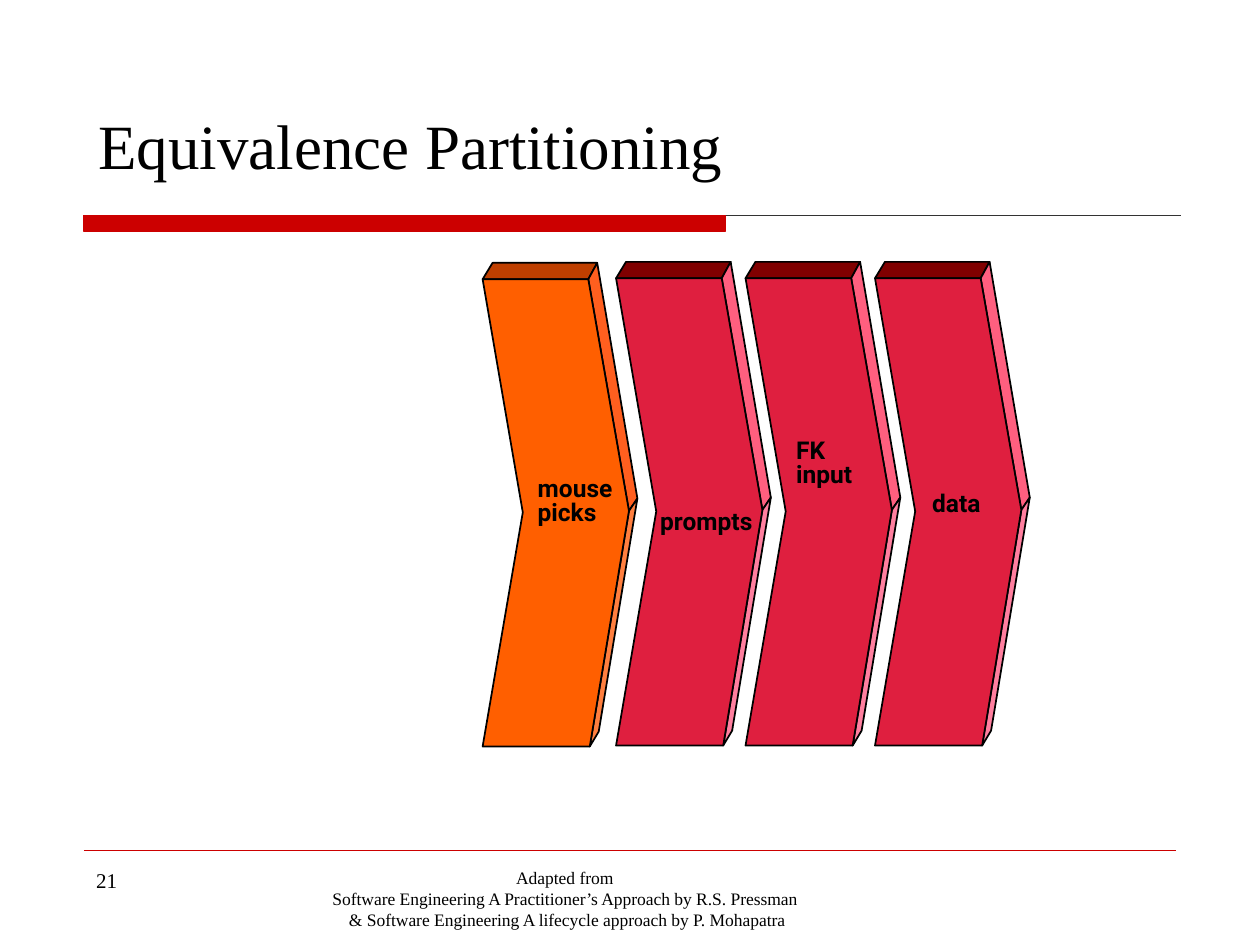
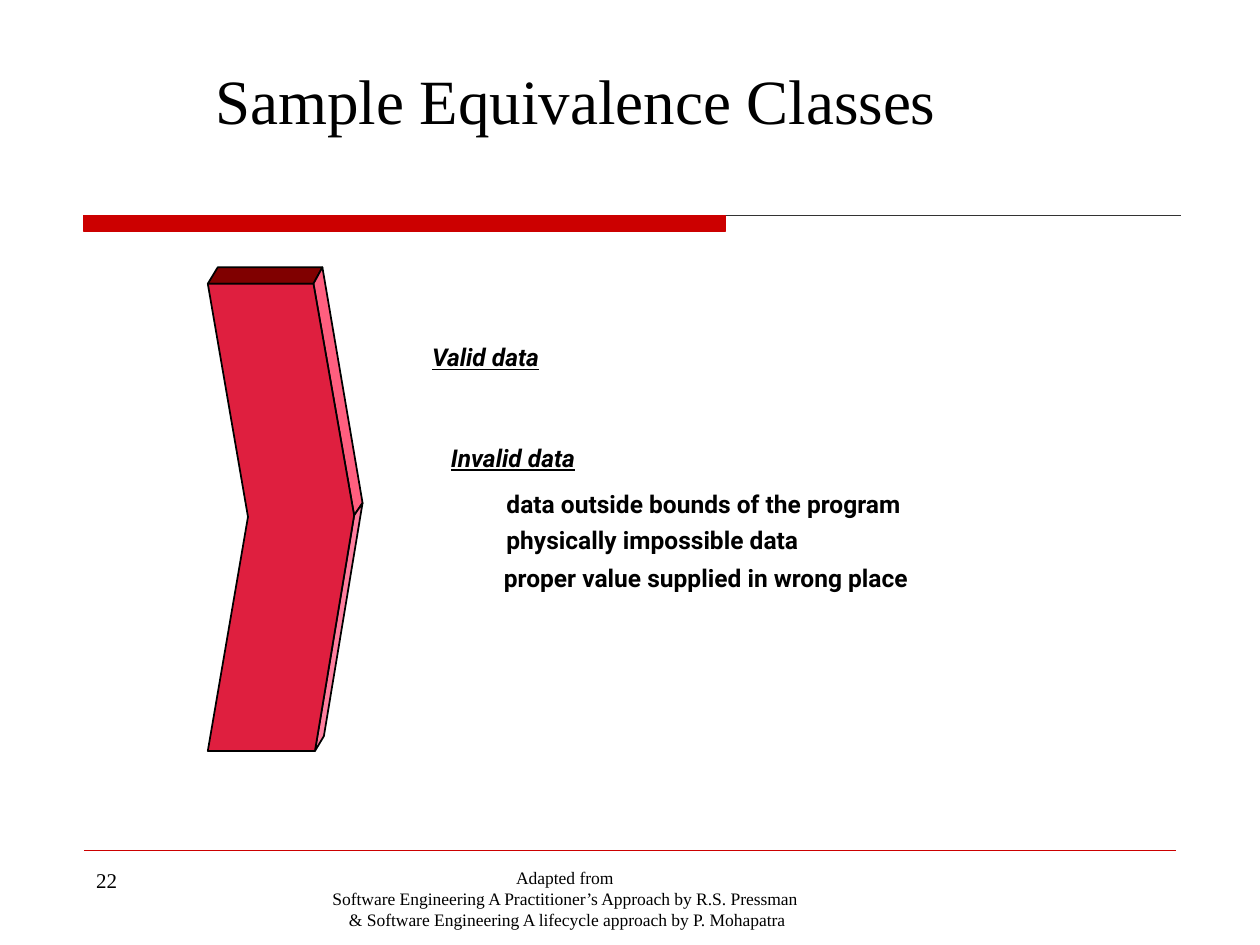
from lxml.etree import SubElement
from pptx import Presentation
from pptx.dml.color import RGBColor
from pptx.enum.shapes import MSO_CONNECTOR as Connector, MSO_SHAPE as Shape
from pptx.enum.text import MSO_ANCHOR as Anchor, MSO_AUTO_SIZE as AutoSize, PP_ALIGN as Align
from pptx.oxml.ns import qn
from pptx.util import Cm, Pt

BLACK = RGBColor(0x00, 0x00, 0x00)
RED = RGBColor(0xCC, 0x00, 0x00)
DARK_GREY = RGBColor(0x33, 0x33, 0x33)
SERIF, SANS = "Times New Roman", "Roboto"

# Colours of a chevron's faces
ORANGE_FACES = {
    "top": RGBColor(0xBF, 0x3F, 0x00),
    "upper side": RGBColor(0xFF, 0x5F, 0x1F),
    "lower side": RGBColor(0xFF, 0x7F, 0x3F),
    "front": RGBColor(0xFF, 0x5F, 0x00),
}
CRIMSON_FACES = {
    "top": RGBColor(0x80, 0x00, 0x00),
    "upper side": RGBColor(0xFF, 0x5F, 0x7F),
    "lower side": RGBColor(0xFF, 0x7F, 0x9F),
    "front": RGBColor(0xDF, 0x1F, 0x3F),
}

# Corners of a chevron, in cm from its top left
FRONT_TOP_LEFT, FRONT_TOP_RIGHT = (0, 0.33), (2.13, 0.33)
BACK_TOP_LEFT, BACK_TOP_RIGHT = (0.2, 0), (2.31, 0)
NOTCH, FRONT_TIP, BACK_TIP = (0.81, 5.03), (2.95, 5), (3.12, 4.75)
FRONT_LOW_LEFT, FRONT_LOW_RIGHT, BACK_LOW_RIGHT = (0, 9.75), (2.16, 9.75), (2.34, 9.45)
FACES = {
    "top": (FRONT_TOP_RIGHT, FRONT_TOP_LEFT, BACK_TOP_LEFT, BACK_TOP_RIGHT),
    "upper side": (BACK_TOP_RIGHT, FRONT_TOP_RIGHT, FRONT_TIP, BACK_TIP),
    "lower side": (BACK_TIP, FRONT_TIP, FRONT_LOW_RIGHT, BACK_LOW_RIGHT),
    "front": (FRONT_TOP_RIGHT, FRONT_TOP_LEFT, NOTCH,
              FRONT_LOW_LEFT, FRONT_LOW_RIGHT, FRONT_TIP),
}

FIRST_PAGE = 21
FOOTER = [
    "Adapted from ",
    "Software Engineering A Practitioner’s Approach by R.S. Pressman ",
    "& Software Engineering A lifecycle approach by P. Mohapatra",
]

CRIMSON_LEFT, CRIMSON_PITCH = 12.42, 2.61
LABEL = {"spacing": 0.8}
HEADING = {"italic": True, "underline": True}

# Areas are left, top, width, height in cm
PAGES = [
    {
        "title": "Equivalence Partitioning",
        "title area": (1.73, 2.06, 20.5, 1.7),
        "chevrons": [(9.73, 5.3, ORANGE_FACES)] + [
            (CRIMSON_LEFT + index * CRIMSON_PITCH, 5.28, CRIMSON_FACES)
            for index in range(3)],
        "texts": [
            (["mouse", "picks"], (10.59, 9.53, 2.08, 1.19), LABEL),
            (["prompts"], (13.06, 10.19, 2.46, 0.81), LABEL),
            (["FK", "input"], (15.8, 8.76, 1.7, 1.35), LABEL),
            (["data"], (18.54, 9.83, 1.52, 0.81), LABEL),
        ],
    },
    {
        "title": "Sample Equivalence Classes",
        "title area": (4.09, 1.55, 17.25, 0.89),
        "chevrons": [(4.19, 5.39, CRIMSON_FACES)],
        "texts": [
            (["Valid data"], (8.46, 6.78, 3.51, 1.02), HEADING),
            (["Invalid data"], (8.84, 8.81, 3.99, 1.02), HEADING),
            (["data outside bounds of the program"], (9.96, 9.73, 11.56, 1.02), {}),
            (["physically impossible data"], (9.96, 10.46, 8.53, 1.78), {}),
            (["proper value supplied in wrong place"], (9.91, 11.23, 11.71, 1.02), {}),
        ],
    },
]


def write_text(frame, lines, size, font, bold=False, italic=False, underline=False,
               align=Align.LEFT, spacing=None):
    """Fill a text frame with one paragraph for each line."""
    for index, line in enumerate(lines):
        para = frame.add_paragraph() if index else frame.paragraphs[0]
        para.alignment = align
        if spacing:
            para.line_spacing = spacing
        span = para.add_run()
        span.text = line
        span.font.size, span.font.name = Pt(size), font
        span.font.bold, span.font.italic, span.font.underline = bold, italic, underline
        span.font.color.rgb = BLACK


def add_text(page, lines, area, size=14, font=SANS, wrap=False, **style):
    frame = page.shapes.add_textbox(*map(Cm, area)).text_frame
    frame.word_wrap = wrap
    frame.auto_size = AutoSize.NONE if wrap else AutoSize.SHAPE_TO_FIT_TEXT
    write_text(frame, lines, size, font, **style)


def add_title(page, text, area):
    title = page.shapes.title
    title.left, title.top, title.width, title.height = map(Cm, area)
    frame = title.text_frame
    frame.auto_size, frame.vertical_anchor = AutoSize.NONE, Anchor.MIDDLE
    write_text(frame, [text], 36, SERIF)


def paint(shape, fill, line, width):
    shape.shadow.inherit = False
    shape.fill.solid()
    shape.fill.fore_color.rgb = fill
    shape.line.color.rgb = line
    shape.line.width = Pt(width)


def add_rule(page, left, right, top, color):
    rule = page.shapes.add_connector(Connector.STRAIGHT, Cm(left), Cm(top), Cm(right), Cm(top))
    rule.line.color.rgb = color
    rule.line.width = Pt(0.75)
    SubElement(rule._element.spPr, qn("a:effectLst"))


def add_frame(page, number):
    """Add the title band, the footer rule, the page number and the footer."""
    add_rule(page, 1.69, 23.8, 4.34, DARK_GREY)
    band = page.shapes.add_shape(Shape.RECTANGLE, Cm(1.69), Cm(4.34), Cm(12.94), Cm(0.32))
    paint(band, RED, RED, 0.75)
    add_rule(page, 1.69, 23.71, 17.15, RED)
    add_text(page, [str(number)], (1.69, 17.36, 5.5, 1.32), size=12, font=SERIF, wrap=True)
    add_text(page, FOOTER, (6.14, 17.36, 10.58, 1.06), size=10, font=SERIF, wrap=True,
             align=Align.CENTER)


def add_chevron(page, left, top, colors):
    group = page.shapes.add_group_shape()
    for face, corners in FACES.items():
        start, *others = [(Cm(left + x), Cm(top + y)) for x, y in corners]
        builder = group.shapes.build_freeform(*start)
        builder.add_line_segments(others, close=True)
        paint(builder.convert_to_shape(), colors[face], BLACK, 1)


def main():
    deck = Presentation()
    deck.slide_width, deck.slide_height = Cm(25.4), Cm(19.05)
    title_only = deck.slide_layouts[5]
    for number, content in enumerate(PAGES, FIRST_PAGE):
        page = deck.slides.add_slide(title_only)
        add_frame(page, number)
        add_title(page, content["title"], content["title area"])
        for chevron in content["chevrons"]:
            add_chevron(page, *chevron)
        for lines, area, style in content["texts"]:
            add_text(page, lines, area, bold=True, **style)
    deck.save("out.pptx")


if __name__ == "__main__":
    main()
